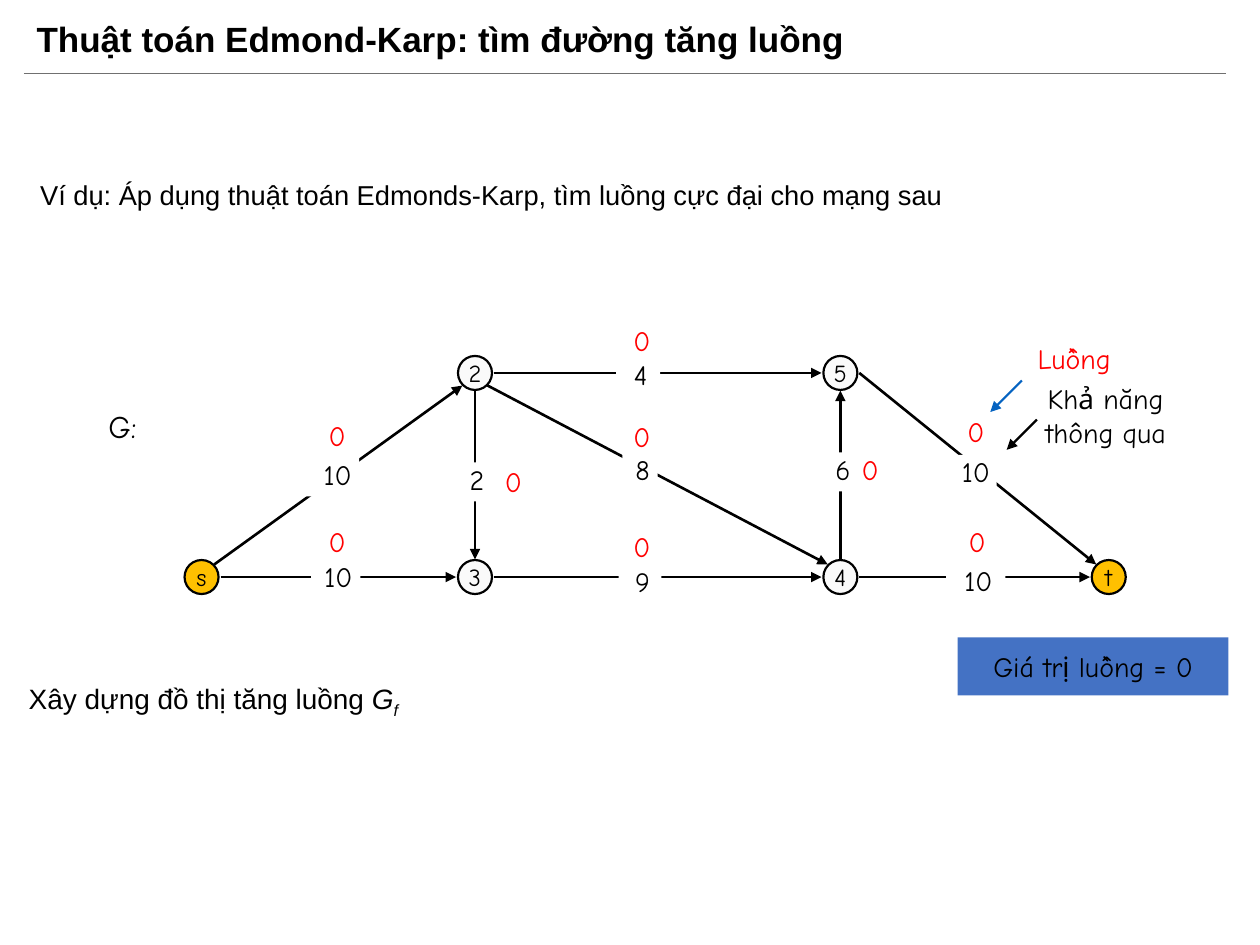
import pptx
import pptx.util
import pptx.dml.color
import pptx.enum.shapes
import pptx.enum.text
import pptx.oxml.ns
from dataclasses import dataclass
from lxml import etree

Inches, Pt = pptx.util.Inches, pptx.util.Pt
RGB = pptx.dml.color.RGBColor.from_string
SHAPE = pptx.enum.shapes.MSO_SHAPE
ALIGN = pptx.enum.text.PP_ALIGN
ANCHOR = pptx.enum.text.MSO_ANCHOR


@dataclass(frozen=True)
class Theme:
    ink: str = "000000"
    paper: str = "FFFFFF"
    flow: str = "FF0000"
    terminal: str = "FFC000"
    inner: str = "FAFAFA"
    panel: str = "4472C4"
    pointer: str = "0563C1"
    rule: str = "707070"
    sans: str = "Arial"
    hand: str = "Comic Neue"
    title: float = 20
    graph_name: float = 18
    body: float = 16
    example: float = 15.6
    node: float = 14


theme = Theme()
prs = pptx.Presentation()
prs.slide_width, prs.slide_height = Inches(10), Inches(7.5)
slide = prs.slides.add_slide(prs.slide_layouts[5])


def write(shape, text, size, font=theme.hand, color=theme.ink, align=ALIGN.CENTER,
          anchor=ANCHOR.TOP, insets=(0, 0, 0, 0), wrap=True):
    """Fill a shape with one formatted paragraph and return it."""
    frame = shape.text_frame
    frame.word_wrap = wrap
    frame.vertical_anchor = anchor
    (frame.margin_left, frame.margin_top,
     frame.margin_right, frame.margin_bottom) = map(Inches, insets)
    paragraph = frame.paragraphs[0]
    paragraph.text = text
    paragraph.alignment = align
    paragraph.font.size, paragraph.font.name = Pt(size), font
    paragraph.font.color.rgb = RGB(color)
    return paragraph


def draw_line(start, end, color, width, arrow=True):
    line = slide.shapes.add_connector(
        pptx.enum.shapes.MSO_CONNECTOR.STRAIGHT, *map(Inches, (*start, *end)))
    line.line.color.rgb = RGB(color)
    line.line.width = Pt(width)
    if arrow:
        etree.SubElement(line.line._get_or_add_ln(),
                         pptx.oxml.ns.qn("a:tailEnd"), type="triangle")
    etree.SubElement(line._element.spPr, pptx.oxml.ns.qn("a:effectLst"))


padding = (0.1, 0.05, 0.1, 0.05)

# Title and rule
title = slide.shapes.title
title.left, title.top, title.width, title.height = map(Inches, (0.19, 0.08, 8.62, 0.5))
heading = write(title, "Thuật toán Edmond-Karp: tìm đường tăng luồng", theme.title,
                theme.sans, align=ALIGN.LEFT, anchor=ANCHOR.MIDDLE, insets=padding)
heading.font.bold = True
heading.line_spacing = 0.9
draw_line((0.19, 0.58), (9.73, 0.58), theme.rule, 0.5, arrow=False)

# Example statement
example = slide.shapes.add_textbox(*map(Inches, (0.22, 1.23, 8.73, 0.67)))
write(example, "Ví dụ: Áp dụng thuật toán Edmonds-Karp, tìm luồng cực đại cho mạng sau",
      theme.example, theme.sans, align=ALIGN.LEFT, anchor=ANCHOR.MIDDLE,
      insets=padding).line_spacing = 0.9

# Network edges: nodes joined, with offsets from their centres
upper, lower = 2.96, 4.58
nodes = {"s": (1.6, lower), "2": (3.77, upper), "3": (3.77, lower),
         "5": (6.67, upper), "4": (6.67, lower), "t": (8.8, lower)}
right, left, up, down = (0.15, 0), (-0.15, 0), (0, -0.14), (0, 0.14)
edges = [
    ("s", "2", (0.1, -0.1), (-0.1, 0.1)), ("s", "3", right, left),
    ("3", "4", right, left), ("2", "5", right, left), ("2", "3", down, up),
    ("4", "5", up, down), ("2", "4", (0.1, 0.1), (-0.1, -0.1)),
    ("5", "t", right, (-0.1, -0.1)), ("4", "t", right, left),
]
for source, target, leave, arrive in edges:
    start = [a + b for a, b in zip(nodes[source], leave)]
    end = [a + b for a, b in zip(nodes[target], arrive)]
    draw_line(start, end, theme.ink, 1.5)

# Network nodes
diameter = 0.27
for name, (x, y) in nodes.items():
    node = slide.shapes.add_shape(
        SHAPE.OVAL, Inches(x - diameter / 2), Inches(y - diameter / 2),
        Inches(diameter), Inches(diameter))
    node.shadow.inherit = False
    node.fill.solid()
    node.fill.fore_color.rgb = RGB(theme.terminal if name in "st" else theme.inner)
    node.line.color.rgb = RGB(theme.ink)
    node.line.width = Pt(1.25)
    write(node, name, theme.node, anchor=ANCHOR.MIDDLE, insets=padding, wrap=False)

# Capacities on white plates: text, left, top, width, left inset
capacities = [
    ("10", 2.47, 4.44, 0.39, 0.04), ("10", 2.38, 3.63, 0.47, 0.13),
    ("9", 4.91, 4.48, 0.34, 0.04), ("8", 4.94, 3.59, 0.28, 0.04),
    ("4", 4.89, 2.84, 0.35, 0.04), ("10", 7.51, 4.47, 0.47, 0.04),
    ("10", 7.45, 3.61, 0.46, 0.13), ("6", 6.44, 3.59, 0.46, 0.04),
    ("2", 3.53, 3.67, 0.47, 0.04),
]
for value, x, y, width, inset in capacities:
    plate = slide.shapes.add_shape(SHAPE.RECTANGLE, *map(Inches, (x, y, width, 0.31)))
    plate.shadow.inherit = False
    plate.fill.solid()
    plate.fill.fore_color.rgb = RGB(theme.paper)
    plate.line.fill.background()
    write(plate, value, theme.body, insets=(inset, 0, 0, 0))

# Flow on each edge
flows = [(2.49, 3.32), (4.91, 2.57), (7.56, 3.29), (2.49, 4.16), (4.91, 4.2),
         (7.57, 4.16), (4.91, 3.33), (3.89, 3.69), (6.72, 3.59)]
for x, y in flows:
    flow = slide.shapes.add_textbox(*map(Inches, (x, y, 0.37, 0.19)))
    write(flow, "0", theme.body, color=theme.flow)

# Graph name and legend
graph_name = slide.shapes.add_textbox(*map(Inches, (0.79, 3.23, 0.48, 0.35)))
write(graph_name, "G:", theme.graph_name, align=ALIGN.LEFT, insets=(0.07, 0, 0, 0))
legend = [("Luồng", theme.flow, (8.1, 2.66, 0.85, 0.37)),
          ("Khả năng thông qua", theme.ink, (8.16, 2.98, 1.23, 0.64))]
for label, color, place in legend:
    write(slide.shapes.add_textbox(*map(Inches, place)), label, theme.body,
          color=color, insets=padding)
draw_line((8.11, 3.02), (7.86, 3.27), theme.pointer, 1.25)
draw_line((8.23, 3.33), (7.99, 3.57), theme.ink, 1.25)

# Flow value
flow_value = slide.shapes.add_shape(SHAPE.RECTANGLE, *map(Inches, (7.6, 5.06, 2.15, 0.46)))
flow_value.shadow.inherit = False
flow_value.fill.solid()
flow_value.fill.fore_color.rgb = RGB(theme.panel)
flow_value.line.fill.background()
write(flow_value, "Giá trị luồng = 0", theme.body, anchor=ANCHOR.MIDDLE, insets=padding)

# Next step
next_step = slide.shapes.add_textbox(*map(Inches, (0.13, 5.36, 3.96, 0.37)))
step = write(next_step, "Xây dựng đồ thị tăng luồng ", theme.body, theme.sans,
             align=ALIGN.LEFT, insets=padding)
for letter in "Gf":
    symbol = step.add_run()
    symbol.text = letter
    symbol.font.italic = True
symbol.font._element.set("baseline", "-25000")

prs.save("out.pptx")
